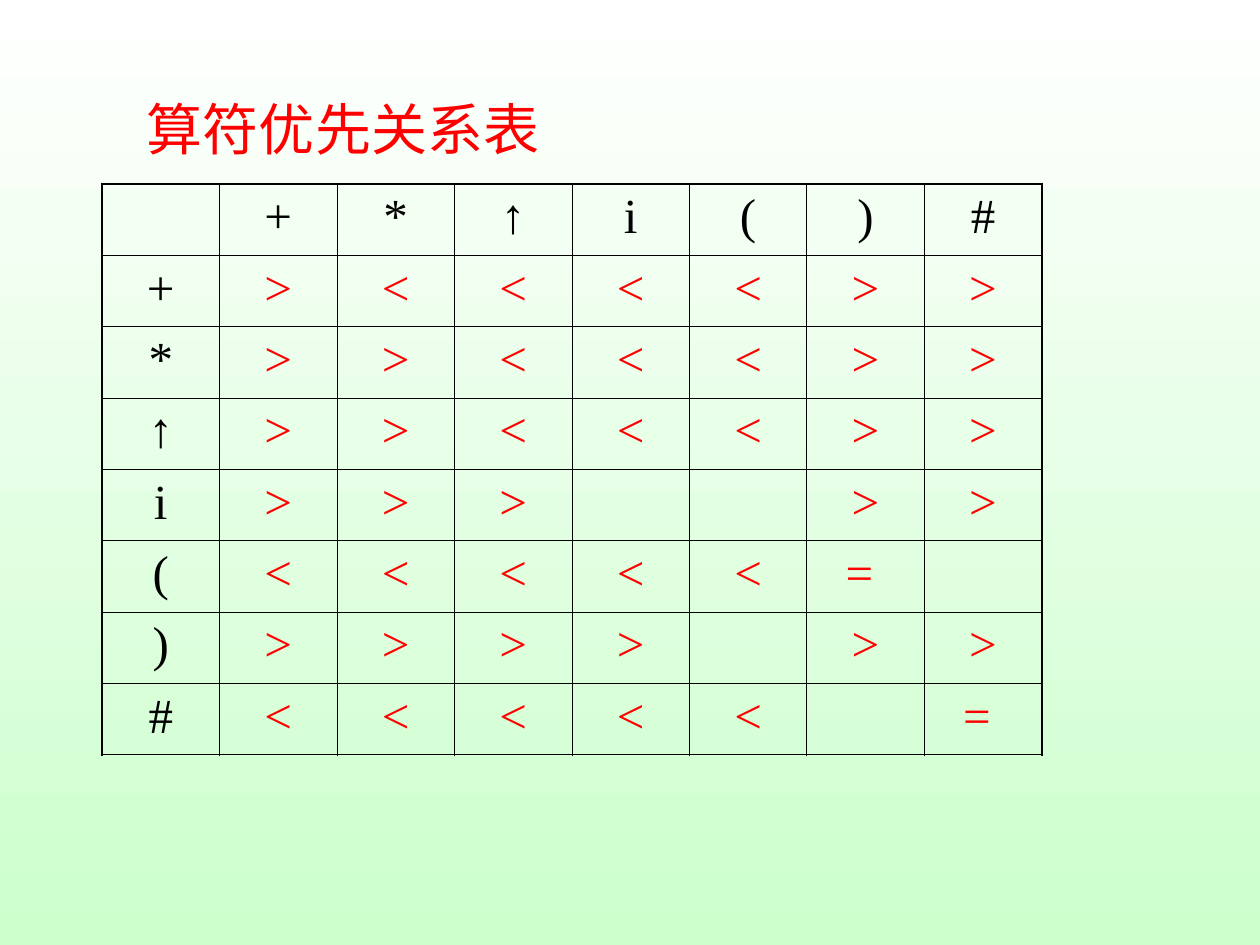
from lxml.etree import SubElement
from pptx import Presentation
from pptx.dml.color import RGBColor
from pptx.enum.text import MSO_ANCHOR, MSO_AUTO_SIZE, PP_ALIGN
from pptx.oxml.ns import qn
from pptx.util import Emu, Inches, Pt

# Content
TITLE = "算符优先关系表 "
SYMBOLS = ["+", "*", "↑", "i", "(", ")", "#"]
RELATIONS = [
    [">", "<", "<", "<", "<", ">", ">"],
    [">", ">", "<", "<", "<", ">", ">"],
    [">", ">", "<", "<", "<", ">", ">"],
    [">", ">", ">", "", "", ">", ">"],
    ["<", "<", "<", "<", "<", "= ", ""],
    [">", ">", ">", ">", "", ">", ">"],
    ["<", "<", "<", "<", "<", "", "= "],
]

# Format
COLORS = {"red": "FF0000", "black": "000000", "top": "FFFFFF", "bottom": "CCFFCC"}
FONT = "Times New Roman"
INNER, OUTER = Pt(0.45), Pt(1.08)
PX = Inches(1) / 126
TITLE_BOX = (82, 88, 535, 81)
TABLE_BOX = (102, 184, 940, 571)


def px(*values):
    return [Emu(round(v * PX)) for v in values]


def rgb(name):
    return RGBColor.from_string(COLORS[name])


def write(tf, text, size=28, color="black", bold=False):
    p = tf.paragraphs[0]
    p.alignment = PP_ALIGN.CENTER
    r = p.add_run()
    r.text = text
    r.font.name, r.font.size, r.font.bold = FONT, Pt(size), bold
    r.font.color.rgb = rgb(color)


def set_borders(cell, **widths):
    tc_pr = cell._tc.get_or_add_tcPr()
    for side, width in widths.items():
        ln = SubElement(tc_pr, qn(f"a:ln{side}"), w=str(width))
        fill = SubElement(ln, qn("a:solidFill"))
        SubElement(fill, qn("a:srgbClr"), val=COLORS["black"])


prs = Presentation()
prs.slide_width, prs.slide_height = Inches(10), Inches(7.5)
s = prs.slides.add_slide(prs.slide_layouts[5])

# Background gradient, top to bottom
bg = s.background.fill
bg.gradient()
bg.gradient_angle = 270
for stop, position, name in zip(bg.gradient_stops, (0, 1), ("top", "bottom")):
    stop.position = position
    stop.color.rgb = rgb(name)

# Title
title = s.shapes.title
title.left, title.top, title.width, title.height = px(*TITLE_BOX)
tf = title.text_frame
tf.word_wrap = True
tf.auto_size = MSO_AUTO_SIZE.NONE
tf.vertical_anchor = MSO_ANCHOR.TOP
write(tf, TITLE, size=32, color="red")

# Precedence table
rows = [[""] + SYMBOLS] + [[sym] + rel for sym, rel in zip(SYMBOLS, RELATIONS)]
n = len(rows)
last = n - 1
table = s.shapes.add_table(n, n, *px(*TABLE_BOX)).table
table.first_row = table.horz_banding = False
col_width, row_height = px(TABLE_BOX[2] / n, TABLE_BOX[3] / n)
for i in range(n):
    table.columns[i].width = col_width
    table.rows[i].height = row_height

for i, row in enumerate(rows):
    for j, text in enumerate(row):
        cell = table.cell(i, j)
        set_borders(
            cell,
            L=OUTER if j == 0 else INNER,
            R=OUTER if j == last else INNER,
            T=OUTER if i == 0 else INNER,
            B=OUTER if i == last else INNER,
        )
        cell.fill.background()
        if text:
            color = "red" if i and j else "black"
            write(cell.text_frame, text, color=color, bold=text == "↑")

prs.save("out.pptx")
